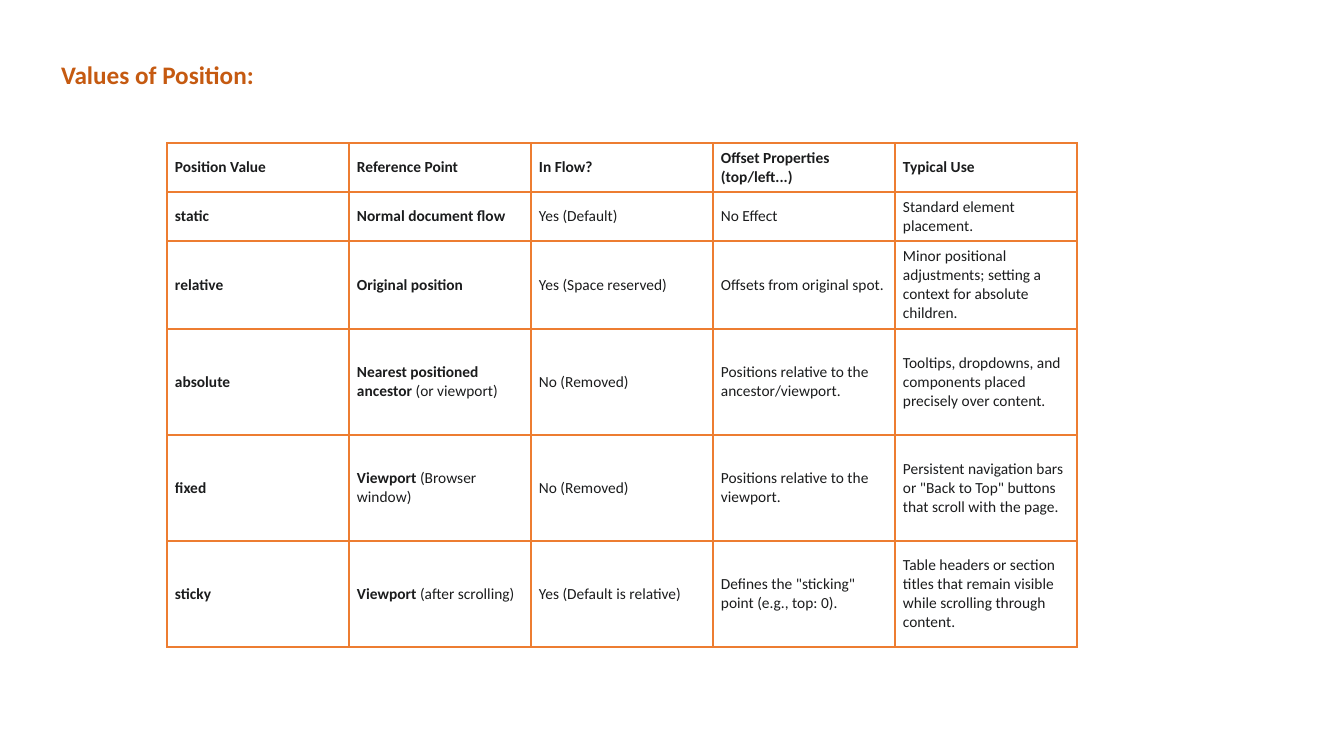
from dataclasses import dataclass
from lxml.etree import SubElement as Sub
from pptx import Presentation
from pptx.dml.color import RGBColor as RGB
from pptx.enum.text import MSO_ANCHOR as Anchor, MSO_AUTO_SIZE as Auto, PP_ALIGN as Align
from pptx.oxml.ns import qn
from pptx.util import Emu, Pt


@dataclass
class Theme:
    font: str = "Calibri"
    head: str = "C55A11"
    ink: str = "1B1C1D"
    line: str = "ED7D31"
    big: int = 18
    small: int = 11
    rule: int = 1


theme = Theme()


def px(n):
    return Emu(round(n * 914400 / 100.8))


def add_run(para, text, size, color, bold):
    run = para.add_run()
    run.text = text
    font = run.font
    font.name, font.size, font.bold = theme.font, Pt(size), bold
    font.color.rgb = RGB.from_string(color)


deck = Presentation()
deck.slide_width, deck.slide_height = px(1344), px(756)
slide = deck.slides.add_slide(deck.slide_layouts[5])

title = slide.shapes.title
title.left, title.top, title.width, title.height = map(px, (51, 39, 1219, 183))
frame = title.text_frame
frame.auto_size = Auto.NONE
frame.word_wrap = True
frame.vertical_anchor = Anchor.TOP
para = frame.paragraphs[0]
para.alignment = Align.LEFT
para.line_spacing = 1.5
add_run(para, "Values of Position:", theme.big, theme.head, True)

rows = [
    ("Position Value", "Reference Point", "In Flow?",
     "Offset Properties (top/left...)", "Typical Use"),
    ("static", "Normal document flow", "Yes (Default)", "No Effect",
     "Standard element placement."),
    ("relative", "Original position", "Yes (Space reserved)",
     "Offsets from original spot.",
     "Minor positional adjustments; setting a context for absolute children."),
    ("absolute", "Nearest positioned ancestor| (or viewport)", "No (Removed)",
     "Positions relative to the ancestor/viewport.",
     "Tooltips, dropdowns, and components placed precisely over content."),
    ("fixed", "Viewport| (Browser window)", "No (Removed)",
     "Positions relative to the viewport.",
     'Persistent navigation bars or "Back to Top" buttons that scroll with the page.'),
    ("sticky", "Viewport| (after scrolling)", "Yes (Default is relative)",
     'Defines the "sticking" point (e.g., top: 0).',
     "Table headers or section titles that remain visible while scrolling through content."),
]
tall = [49, 49, 88, 106, 106, 106]
wide = [182] * 5

table = slide.shapes.add_table(len(tall), len(wide), px(167), px(143),
                               px(sum(wide)), px(sum(tall))).table
table.first_row = table.horz_banding = False
for col, width in zip(table.columns, wide):
    col.width = px(width)

for r, row in enumerate(rows):
    table.rows[r].height = px(tall[r])
    for c, text in enumerate(row):
        cell = table.cell(r, c)
        cell.vertical_anchor = Anchor.MIDDLE
        cell.margin_left = cell.margin_right = px(8)
        cell.margin_top = cell.margin_bottom = px(5)
        props = cell._tc.get_or_add_tcPr()
        for side in "LRTB":
            edge = Sub(props, qn("a:ln" + side), w=str(Pt(theme.rule)))
            Sub(Sub(edge, qn("a:solidFill")), qn("a:srgbClr"), val=theme.line)
        cell.fill.background()
        for i, part in enumerate(text.split("|")):
            bold = i == 0 and (r == 0 or c < 2)
            add_run(cell.text_frame.paragraphs[0], part, theme.small, theme.ink, bold)

deck.save("out.pptx")
